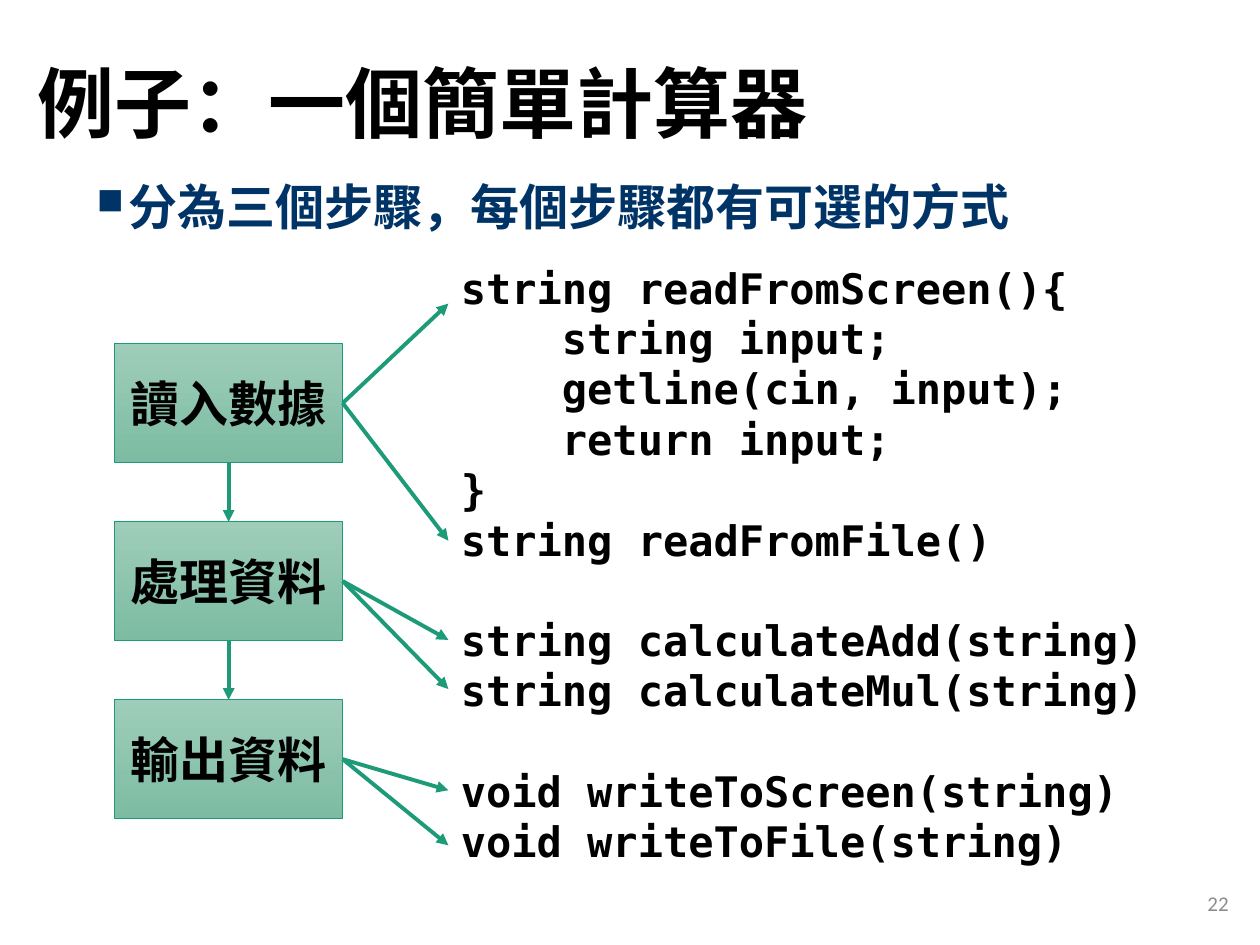
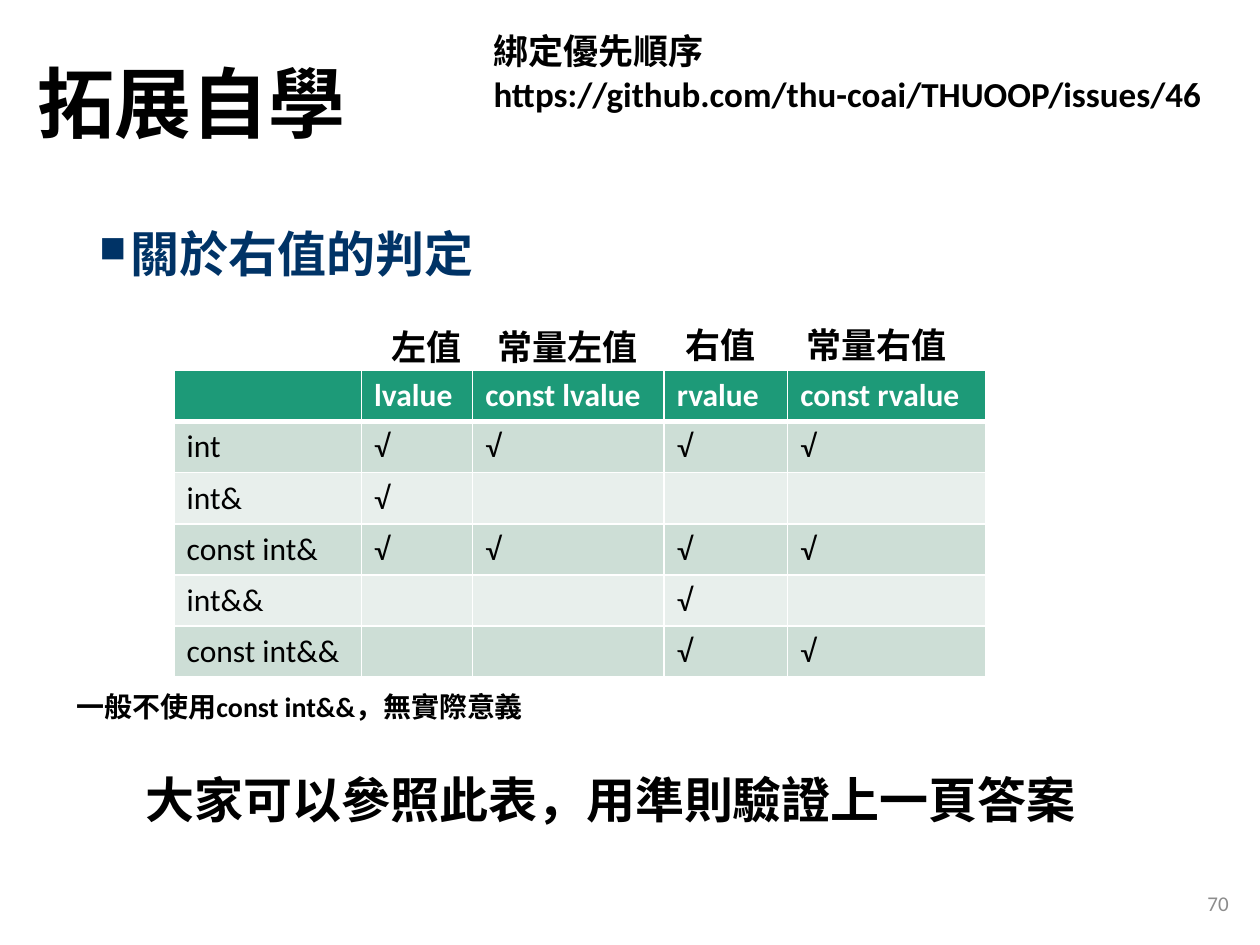
from lxml import etree
from pptx import Presentation, util as u
from pptx.dml.color import RGBColor
from pptx.enum import shapes, text
from pptx.oxml.ns import qn

Cm, Pt = u.Cm, u.Pt

BLACK = RGBColor(0x00, 0x00, 0x00)
WHITE = RGBColor(0xFF, 0xFF, 0xFF)
NAVY = RGBColor(0x00, 0x33, 0x66)
GREY = RGBColor(0x8C, 0x8C, 0x8C)
GREEN = RGBColor(0x1D, 0x9A, 0x78)
STEP_TOP = RGBColor(0x9E, 0xCD, 0xBA)
STEP_BOTTOM = RGBColor(0x7D, 0xBC, 0xA3)
ROW_DARK = RGBColor(0xCD, 0xDE, 0xD6)
ROW_LIGHT = RGBColor(0xE8, 0xEF, 0xEC)

SANS, MONO, CJK = "Calibri", "DejaVu Sans Mono", "Noto Sans CJK SC"

TITLE = dict(name=CJK, size=Pt(44), bold=True)
POINT = dict(name=MONO, size=Pt(28), bold=True)
CODE = dict(name=MONO, size=Pt(24), bold=True)
STRONG = dict(name=SANS, size=Pt(28), bold=True)
LABEL = dict(name=SANS, size=Pt(20), bold=True)
NOTE = dict(name=SANS, size=Pt(16), bold=True)
NUMBER = dict(name=SANS, size=Pt(12), bold=False)
HEADER = dict(name=SANS, size=Pt(18), bold=True)
CELL = dict(name=SANS, size=Pt(18), bold=False)


def write(frame, lines, style, color=BLACK):
    """Fill a text frame with one paragraph per line and return the paragraphs."""
    for index, line in enumerate(lines):
        paragraph = frame.paragraphs[0] if index == 0 else frame.add_paragraph()
        run = paragraph.add_run()
        run.text = line
        for key, value in style.items():
            setattr(run.font, key, value)
        run.font.color.rgb = color
        etree.SubElement(run._r.get_or_add_rPr(), qn("a:ea"), typeface=CJK)
    return frame.paragraphs


def add_text(slide, place, lines, style, color=BLACK, wrap=True, middle=False):
    frame = slide.shapes.add_textbox(*map(Cm, place)).text_frame
    frame.word_wrap = wrap
    if middle:
        frame.vertical_anchor = text.MSO_ANCHOR.MIDDLE
    return write(frame, lines, style, color)


deck = Presentation()
deck.slide_width, deck.slide_height = Cm(25.4), Cm(19.05)

# Title, bullet point and page number of each slide
pages = [
    ("例子：一個簡單計算器", "分為三個步驟，每個步驟都有可選的方式", (1.7, 3.56, 22.56, 13.18), "22"),
    ("拓展自學", "關於右值的判定", (1.75, 4.52, 22.35, 13.18), "70"),
]
for title, point, point_place, number in pages:
    slide = deck.slides.add_slide(deck.slide_layouts[6])
    heading = add_text(slide, (0.51, 0.33, 21.89, 3.68), [title], TITLE, middle=True)[0]
    heading.line_spacing = 0.9

    bullet = add_text(slide, point_place, [point], POINT, NAVY)[0]
    bullet.line_spacing = 0.9
    props = bullet._p.get_or_add_pPr()
    props.set("marL", str(Cm(0.64)))
    props.set("indent", str(-Cm(0.64)))
    etree.SubElement(props, qn("a:buSzPct"), val="75000")
    etree.SubElement(props, qn("a:buChar"), char="■")

    page = add_text(slide, (19.3, 17.7, 5.72, 1.02), [number], NUMBER, GREY, middle=True)[0]
    page.alignment = text.PP_ALIGN.RIGHT

calculator, rvalues = deck.slides

# Calculator: three steps, each with two possible functions
step_left, step_top, step_width, step_height, step_pitch = 2.31, 6.93, 4.6, 2.39, 3.59
code_left = 9.04
steps = [
    ("讀入數據", (6.12, 10.9)),
    ("處理資料", (12.9, 13.89)),
    ("輸出資料", (15.93, 17.04)),
]
arrows = []
previous = None
for index, (name, option_tops) in enumerate(steps):
    step = calculator.shapes.add_shape(
        shapes.MSO_SHAPE.RECTANGLE, Cm(step_left), Cm(step_top + index * step_pitch),
        Cm(step_width), Cm(step_height))
    step.shadow.inherit = False
    step.fill.gradient()
    step.fill.gradient_angle = 270
    for stop, color in zip(step.fill.gradient_stops, (STEP_TOP, STEP_BOTTOM)):
        stop.color.rgb = color
    step.line.color.rgb = GREEN
    step.line.width = Pt(0.5)
    step.text_frame.vertical_anchor = text.MSO_ANCHOR.MIDDLE
    write(step.text_frame, [name], STRONG)[0].alignment = text.PP_ALIGN.CENTER

    for top in option_tops:
        arrow = calculator.shapes.add_connector(
            shapes.MSO_CONNECTOR.STRAIGHT, 0, 0, Cm(code_left), Cm(top))
        arrow.begin_connect(step, 3)
        arrows.append(arrow)
    if previous is not None:
        arrow = calculator.shapes.add_connector(shapes.MSO_CONNECTOR.STRAIGHT, 0, 0, 0, 0)
        arrow.begin_connect(previous, 2)
        arrow.end_connect(step, 0)
        arrows.append(arrow)
    previous = step

for arrow in arrows:
    arrow.line.color.rgb = GREEN
    arrow.line.width = Pt(2.25)
    etree.SubElement(arrow.line._get_or_add_ln(), qn("a:tailEnd"), type="triangle")
    etree.SubElement(arrow._element.spPr, qn("a:effectLst"))

code = add_text(calculator, (code_left, 5.16, 15.19, 12.57), [
    "string readFromScreen(){",
    "    string input;",
    "    getline(cin, input);",
    "    return input;",
    "}",
    "string readFromFile()",
    "string calculateAdd(string)",
    "string calculateMul(string)",
    "void writeToScreen(string)",
    "void writeToFile(string)",
], CODE)
for group_start in (6, 8):
    code[group_start].space_before = Pt(28.5)

# Rvalues: which reference type binds to which kind of value
bindings = [
    ("", "lvalue", "const lvalue", "rvalue", "const rvalue"),
    ("int", "√", "√", "√", "√"),
    ("int&", "√", "", "", ""),
    ("const int&", "√", "√", "√", "√"),
    ("int&&", "", "", "√", ""),
    ("const int&&", "", "", "√", "√"),
]
column_widths = (3.78, 2.24, 3.86, 2.49, 3.99)
row_height = 1.03
table = rvalues.shapes.add_table(
    len(bindings), len(column_widths), Cm(3.51), Cm(7.47),
    Cm(sum(column_widths)), Cm(row_height * len(bindings))).table
for column, width in zip(table.columns, column_widths):
    column.width = Cm(width)
for r, row in enumerate(bindings):
    table.rows[r].height = Cm(row_height)
    for c, value in enumerate(row):
        cell = table.cell(r, c)
        for side in ("L", "R", "T", "B"):
            under_header = (r, side) in ((0, "B"), (1, "T"))
            border = etree.SubElement(cell._tc.get_or_add_tcPr(), qn("a:ln" + side),
                                      w=str(Pt(3 if under_header else 1)))
            paint = etree.SubElement(border, qn("a:solidFill"))
            etree.SubElement(paint, qn("a:srgbClr"), val=str(WHITE))
        cell.fill.solid()
        cell.fill.fore_color.rgb = GREEN if r == 0 else ROW_DARK if r % 2 else ROW_LIGHT
        if value:
            write(cell.text_frame, [value], CELL if r else HEADER, BLACK if r else WHITE)
        else:
            cell.text_frame.paragraphs[0].font.size = Pt(18)

for label, left, top, width in [
    ("左值", 7.65, 6.43, 1.93),
    ("常量左值", 9.78, 6.43, 3.35),
    ("右值", 13.56, 6.4, 1.93),
    ("常量右值", 16, 6.4, 3.35),
]:
    add_text(rvalues, (left, top, width, 1.12), [label], LABEL, wrap=False)

add_text(rvalues, (1.3, 13.77, 9.63, 0.94), ["一般不使用const int&&，無實際意義"], NOTE)
add_text(rvalues, (2.69, 15.39, 19.46, 1.45),
         ["大家可以參照此表，用準則驗證上一頁答案"], STRONG, wrap=False)
add_text(rvalues, (9.7, 0.48, 14.91, 1.96),
         ["綁定優先順序", "https://github.com/thu-coai/THUOOP/issues/46"], LABEL, wrap=False)

deck.save("out.pptx")
